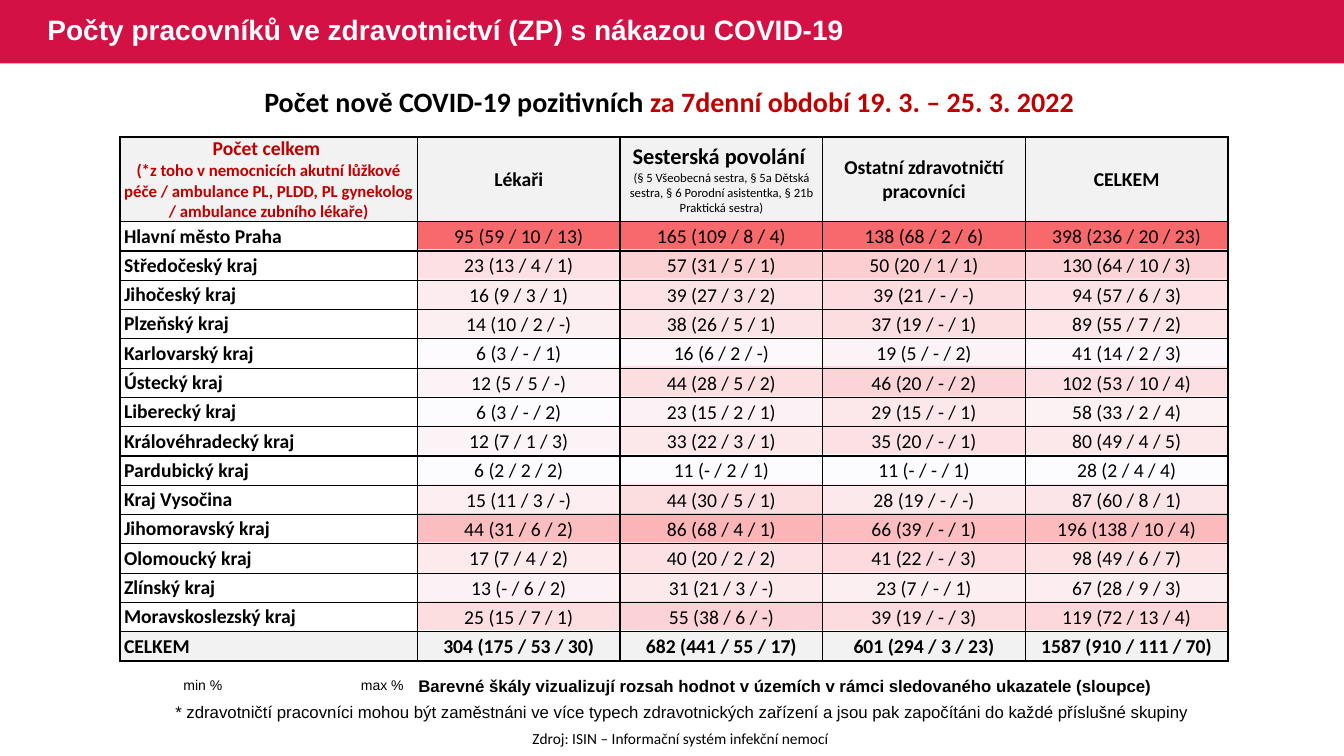
from math import ceil

from lxml import etree
from pptx import Presentation
from pptx.dml.color import RGBColor
from pptx.enum.shapes import MSO_SHAPE
from pptx.enum.text import MSO_ANCHOR, PP_ALIGN
from pptx.oxml.ns import qn
from pptx.util import Inches, Pt

LEFT, CENTER = PP_ALIGN.LEFT, PP_ALIGN.CENTER
MIDDLE = MSO_ANCHOR.MIDDLE
RECTANGLE = MSO_SHAPE.RECTANGLE
TITLE_ONLY = 5


class Theme:
    band = RGBColor(0xD3, 0x11, 0x45)
    white = RGBColor(0xFF, 0xFF, 0xFF)
    black = RGBColor(0, 0, 0)
    accent = RGBColor(0xC0, 0, 0)
    header = RGBColor(0xF2, 0xF2, 0xF2)
    scale_min = (0xFC, 0xFC, 0xFF)
    scale_max = (0xF8, 0x69, 0x6B)
    sans, table_font = "Arial", "Calibri"
    heading, group, body, note, legend, source, detail = 20, 16, 14, 12, 10, 11, 9


REGIONS = [
    ("Hlavní město Praha", "95 (59 / 10 / 13)", "165 (109 / 8 / 4)", "138 (68 / 2 / 6)", "398 (236 / 20 / 23)"),
    ("Středočeský kraj", "23 (13 / 4 / 1)", "57 (31 / 5 / 1)", "50 (20 / 1 / 1)", "130 (64 / 10 / 3)"),
    ("Jihočeský kraj", "16 (9 / 3 / 1)", "39 (27 / 3 / 2)", "39 (21 / - / -)", "94 (57 / 6 / 3)"),
    ("Plzeňský kraj", "14 (10 / 2 / -)", "38 (26 / 5 / 1)", "37 (19 / - / 1)", "89 (55 / 7 / 2)"),
    ("Karlovarský kraj", "6 (3 / - / 1)", "16 (6 / 2 / -)", "19 (5 / - / 2)", "41 (14 / 2 / 3)"),
    ("Ústecký kraj", "12 (5 / 5 / -)", "44 (28 / 5 / 2)", "46 (20 / - / 2)", "102 (53 / 10 / 4)"),
    ("Liberecký kraj", "6 (3 / - / 2)", "23 (15 / 2 / 1)", "29 (15 / - / 1)", "58 (33 / 2 / 4)"),
    ("Královéhradecký kraj", "12 (7 / 1 / 3)", "33 (22 / 3 / 1)", "35 (20 / - / 1)", "80 (49 / 4 / 5)"),
    ("Pardubický kraj", "6 (2 / 2 / 2)", "11 (- / 2 / 1)", "11 (- / - / 1)", "28 (2 / 4 / 4)"),
    ("Kraj Vysočina", "15 (11 / 3 / -)", "44 (30 / 5 / 1)", "28 (19 / - / -)", "87 (60 / 8 / 1)"),
    ("Jihomoravský kraj", "44 (31 / 6 / 2)", "86 (68 / 4 / 1)", "66 (39 / - / 1)", "196 (138 / 10 / 4)"),
    ("Olomoucký kraj", "17 (7 / 4 / 2)", "40 (20 / 2 / 2)", "41 (22 / - / 3)", "98 (49 / 6 / 7)"),
    ("Zlínský kraj", "13 (- / 6 / 2)", "31 (21 / 3 / -)", "23 (7 / - / 1)", "67 (28 / 9 / 3)"),
    ("Moravskoslezský kraj", "25 (15 / 7 / 1)", "55 (38 / 6 / -)", "39 (19 / - / 3)", "119 (72 / 13 / 4)"),
]
TOTALS = ("CELKEM", "304 (175 / 53 / 30)", "682 (441 / 55 / 17)", "601 (294 / 3 / 23)", "1587 (910 / 111 / 70)")
ROWS = REGIONS + [TOTALS]

# Each header cell lists its paragraphs as (text, size, bold, colour)
HEADERS = [
    [("Počet celkem ", Theme.body, True, Theme.accent),
     ("(*z toho v nemocnicích akutní lůžkové péče / ambulance PL, PLDD, PL gynekolog / ambulance zubního lékaře)",
      Theme.note, True, Theme.accent)],
    [("Lékaři", Theme.body, True, Theme.black)],
    [("Sesterská povolání ", Theme.group, True, Theme.black),
     ("(§ 5 Všeobecná sestra, § 5a Dětská sestra, § 6 Porodní asistentka, § 21b Praktická sestra)",
      Theme.detail, False, Theme.black)],
    [("Ostatní zdravotničtí pracovníci", Theme.body, True, Theme.black)],
    [("CELKEM", Theme.body, True, Theme.black)],
]


def case_count(entry):
    return int(entry.split()[0])


def scale_color(entry, column):
    """Shade an entry between the lowest and highest count of its column."""
    counts = [case_count(row[column]) for row in REGIONS]
    share = (case_count(entry) - min(counts)) / (max(counts) - min(counts))
    return RGBColor(*(ceil(low + (high - low) * share)
                      for low, high in zip(Theme.scale_min, Theme.scale_max)))


class SlideBuilder:
    def __init__(self, slide, theme):
        self.slide, self.theme = slide, theme

    def format(self, paragraph, size, font, bold=False, color=None, align=LEFT):
        paragraph.alignment = align
        paragraph.font.size = Pt(size)
        paragraph.font.name = font
        paragraph.font.bold = bold
        paragraph.font.color.rgb = color or self.theme.black

    def band(self, width, height):
        band = self.slide.shapes.add_shape(RECTANGLE, 0, 0, Inches(width), Inches(height))
        band.shadow.inherit = False
        band.fill.solid()
        band.fill.fore_color.rgb = self.theme.band
        band.line.fill.background()
        # The band belongs behind the title placeholder
        band._element.getparent().insert(2, band._element)

    def title(self, text, left, top, width, height):
        title = self.slide.shapes.title
        title.left, title.top, title.width, title.height = map(Inches, (left, top, width, height))
        title.text_frame.text = text
        title.text_frame.vertical_anchor = MIDDLE
        paragraph = title.text_frame.paragraphs[0]
        paragraph.line_spacing = 0.9
        self.format(paragraph, self.theme.heading, self.theme.sans, True, self.theme.white)

    def text(self, parts, left, top, width, height, size, font, bold=False, align=LEFT):
        """Add one paragraph made of (text, colour) parts."""
        box = self.slide.shapes.add_textbox(*map(Inches, (left, top, width, height)))
        box.text_frame.word_wrap = True
        paragraph = box.text_frame.paragraphs[0]
        self.format(paragraph, size, font, bold, align=align)
        for text, color in parts:
            run = paragraph.add_run()
            run.text = text
            run.font.color.rgb = color

    def legend(self, low, high, left, top, width, height, indent, tab):
        box = self.slide.shapes.add_textbox(*map(Inches, (left, top, width, height)))
        frame = box.text_frame
        frame.word_wrap = True
        frame.margin_left = Inches(indent)
        frame.margin_right = frame.margin_top = frame.margin_bottom = 0
        paragraph = frame.paragraphs[0]
        tabs = etree.SubElement(paragraph._p.get_or_add_pPr(), qn("a:tabLst"))
        etree.SubElement(tabs, qn("a:tab"), pos=str(Inches(tab)), algn="l")
        paragraph.add_run().text = f"{low}\t{high}"
        self.format(paragraph, self.theme.legend, self.theme.sans)

    def table(self, left, top, widths, heights):
        table = self.slide.shapes.add_table(
            len(heights), len(widths), *map(Inches, (left, top, sum(widths), sum(heights)))).table
        table.first_row = table.horz_banding = False
        for column, width in zip(table.columns, widths):
            column.width = Inches(width)
        for row, height in zip(table.rows, heights):
            row.height = Inches(height)
        return table

    def cell(self, cell, margins, fill=None, border=None):
        cell.margin_left, cell.margin_top, cell.margin_right, cell.margin_bottom = map(Inches, margins)
        cell.vertical_anchor = MIDDLE
        for side in ("lnL", "lnR", "lnT", "lnB"):
            line = etree.SubElement(cell._tc.get_or_add_tcPr(), qn(f"a:{side}"), w=str(Pt(1)))
            if border is None:
                etree.SubElement(line, qn("a:noFill"))
            else:
                solid = etree.SubElement(line, qn("a:solidFill"))
                etree.SubElement(solid, qn("a:srgbClr"), val=str(border))
        if fill is None:
            cell.fill.background()
        else:
            cell.fill.solid()
            cell.fill.fore_color.rgb = fill

    def text_cell(self, cell, paragraphs, align, margins, fill=None):
        """Fill a bordered cell with (text, size, bold, colour) paragraphs."""
        self.cell(cell, margins, fill, self.theme.black)
        cell.text_frame.text = "\n".join(text for text, *_ in paragraphs)
        for paragraph, (_, size, bold, color) in zip(cell.text_frame.paragraphs, paragraphs):
            self.format(paragraph, size, self.theme.table_font, bold, color, align)

    def color_scale(self, left, top, widths, height):
        """Lay the shaded cells that sit under the counts."""
        table = self.table(left, top, widths, [height / len(ROWS)] * len(ROWS))
        for index, entries in enumerate(ROWS):
            for column, entry in enumerate(entries[1:], start=1):
                shade = None if entries is TOTALS else scale_color(entry, column)
                cell = table.cell(index, column - 1)
                self.cell(cell, (0, 0, 0, 0), shade)
                # A small end mark keeps the blank cell from growing its row
                etree.SubElement(cell.text_frame.paragraphs[0]._p, qn("a:endParaRPr"),
                                 sz=str(self.theme.legend * 100))

    def case_table(self, left, top, widths, header_height, body_height):
        theme = self.theme
        table = self.table(left, top, widths, [header_height] + [body_height / len(ROWS)] * len(ROWS))
        label_margins, count_margins = (0.04, 0, 0.04, 0), (0.01, 0.01, 0.01, 0)
        for column, paragraphs in enumerate(HEADERS):
            self.text_cell(table.cell(0, column), paragraphs, CENTER, label_margins, theme.header)
        for index, entries in enumerate(ROWS, start=1):
            is_total = entries is TOTALS
            for column, entry in enumerate(entries):
                is_label = column == 0
                self.text_cell(table.cell(index, column),
                               [(entry, theme.body, is_label or is_total, theme.black)],
                               LEFT if is_label else CENTER,
                               label_margins if is_label else count_margins,
                               theme.header if is_total else None)


def main():
    deck = Presentation()
    deck.slide_width, deck.slide_height = Inches(13.33), Inches(7.5)
    theme = Theme()
    page = SlideBuilder(deck.slides.add_slide(deck.slide_layouts[TITLE_ONLY]), theme)
    count_widths = [2.01] * 4

    page.band(13.33, 0.63)
    page.color_scale(4.14, 2.18, count_widths, 4.37)
    page.text([("Zdroj: ISIN – Informační systém infekční nemocí", theme.black)],
              3.27, 7.18, 6.96, 0.29, theme.source, theme.table_font, align=CENTER)
    page.title("Počty pracovníků ve zdravotnictví (ZP) s nákazou COVID-19", 0.37, 0, 8.6, 0.63)
    page.case_table(1.19, 1.36, [2.95] + count_widths, 0.84, 4.36)
    page.text([("Počet nově COVID-19 pozitivních ", theme.black),
               ("za 7denní období 19. 3. – 25. 3. 2022 ", theme.accent)],
              0.67, 0.79, 12, 0.44, theme.heading, theme.table_font, True, CENTER)
    page.text([("Barevné škály vizualizují rozsah hodnot v územích v rámci sledovaného ukazatele (sloupce)",
                theme.black)], 4.05, 6.65, 7.72, 0.3, theme.note, theme.sans, True)
    page.text([("* zdravotničtí pracovníci mohou být zaměstnáni ve více typech zdravotnických zařízení "
                "a jsou pak započítáni do každé příslušné skupiny", theme.black)],
              1.64, 6.91, 10.26, 0.3, theme.note, theme.sans)
    page.legend("min %", "max %", 1.74, 6.71, 2.34, 0.17, indent=0.08, tab=1.76)
    deck.save("out.pptx")


if __name__ == "__main__":
    main()
